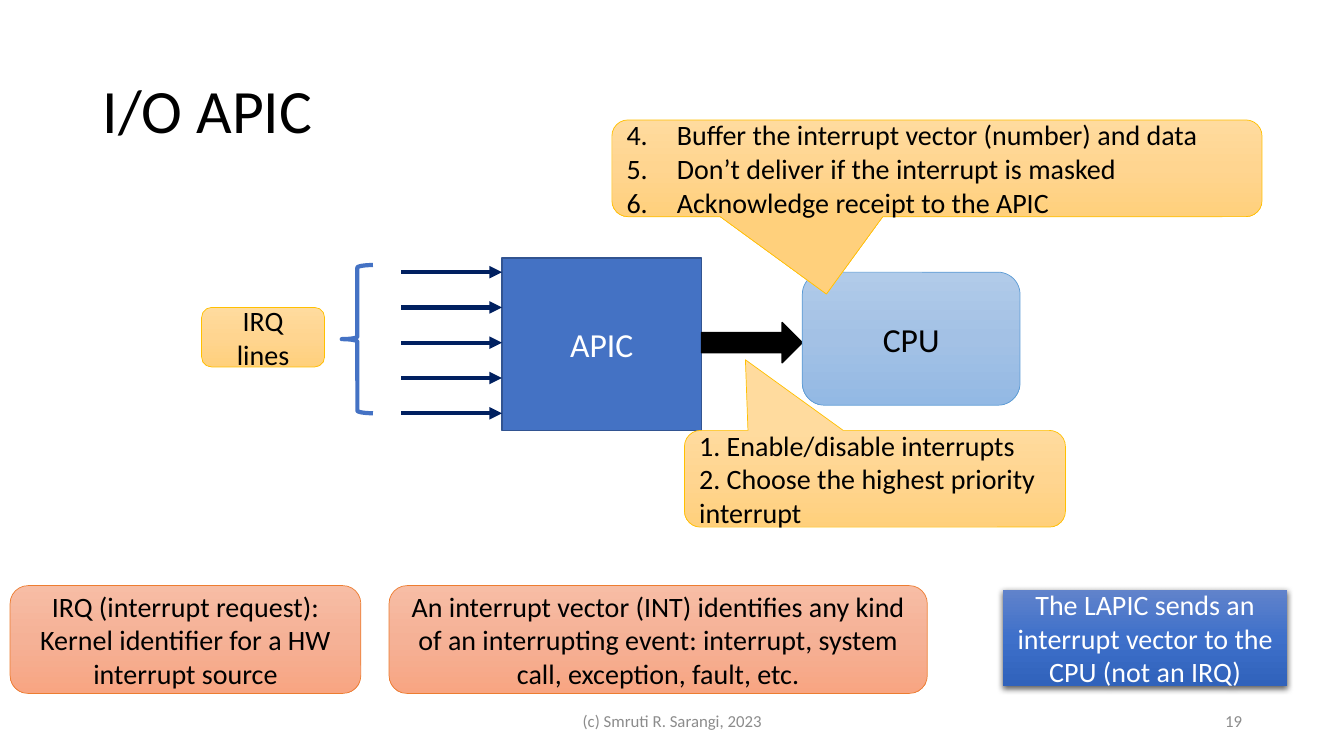
from lxml import etree
from pptx import Presentation
from pptx import util as u
from pptx.dml.color import RGBColor
from pptx.enum import shapes, text
from pptx.oxml import ns

# Grid: 133.33 columns by 75 rows of square cells
CELL = 0.1
COLS, ROWS = 133.33, 75
FACE = "Calibri"
HUES = {
    "black": "000000", "white": "FFFFFF", "gray": "8C8C8C",
    "navy": "002060", "blue": "4472C4", "edge": "325491",
    "gold": "FFC000", "sky": "5B9BD5", "rust": "ED7D31",
}
FADES = {
    "gold": ("FFDB9E", "FFD590", "FFD07C"),
    "sky": ("B1CBE9", "A3C1E5", "93B9E4"),
    "rust": ("F7BDA5", "F5B196", "F8A582"),
    "blue": ("6183CB", "3E70CA", "3062BB"),
}
KIND = shapes.MSO_SHAPE
ALIGN = text.PP_ALIGN


def grid(*cells):
    return [u.Inches(n * CELL) for n in cells]


def hue(name):
    return RGBColor.from_string(HUES[name])


def node(parent, tag, **attrs):
    return etree.SubElement(parent, ns.qn("a:" + tag), **attrs)


# Text
def write(frame, lines, size, color, align, start=None):
    frame.word_wrap = True
    frame.vertical_anchor = text.MSO_ANCHOR.MIDDLE
    for i, line in enumerate(lines):
        para = frame.paragraphs[0] if i == 0 else frame.add_paragraph()
        para.alignment = align
        if start:
            props = para._p.get_or_add_pPr()
            props.set("marL", str(u.Inches(0.5)))
            props.set("indent", str(-u.Inches(0.5)))
            node(props, "buFont", typeface="+mj-lt")
            node(props, "buAutoNum", type="arabicPeriod", startAt=str(start))
        run = para.add_run()
        run.text = line
        run.font.name = FACE
        run.font.size = u.Pt(size)
        run.font.color.rgb = hue(color)


def label(slide, at, line, size, color, align):
    frame = slide.shapes.add_textbox(*grid(*at)).text_frame
    write(frame, [line], size, color, align)
    return frame


# Shapes
def shade(shape, name):
    shape.fill.gradient()
    shape.fill.gradient_angle = 270
    stops = shape._element.spPr.find(".//" + ns.qn("a:gsLst"))
    for old in list(stops):
        stops.remove(old)
    for pos, color in zip((0, 50000, 100000), FADES[name]):
        node(node(stops, "gs", pos=str(pos)), "srgbClr", val=color)


def block(slide, kind, at, fill=None, fade=None, line=None, width=0.5):
    shape = slide.shapes.add_shape(kind, *grid(*at))
    shape.shadow.inherit = False
    if fade:
        shade(shape, fade)
    elif fill:
        shape.fill.solid()
        shape.fill.fore_color.rgb = hue(fill)
    else:
        shape.fill.background()
    if line:
        shape.line.color.rgb = hue(line)
        shape.line.width = u.Pt(width)
    else:
        shape.line.fill.background()
    return shape


def card(slide, kind, at, fade, line, words, size=20, color="black"):
    shape = block(slide, kind, at, fade=fade, line=line)
    write(shape.text_frame, [words], size, color, ALIGN.CENTER)
    return shape


def callout(slide, at, tip, lines, start=None):
    shape = block(slide, KIND.ROUNDED_RECTANGULAR_CALLOUT, at,
                  fade="gold", line="gold")
    shape.adjustments[0], shape.adjustments[1] = tip
    write(shape.text_frame, lines, 20, "black", ALIGN.LEFT, start)


def drop(shape):
    effects = shape._element.spPr.find(ns.qn("a:effectLst"))
    outer = node(effects, "outerShdw", blurRad=str(u.Pt(4.5)),
                 dist=str(u.Pt(1.5)), dir="5400000", algn="ctr",
                 rotWithShape="0")
    node(node(outer, "srgbClr", val=HUES["black"]), "alpha", val="63000")


def arrow(slide, left, right, row):
    wire = slide.shapes.add_connector(
        shapes.MSO_CONNECTOR.STRAIGHT, *grid(left, row, right, row))
    wire.line.color.rgb = hue("navy")
    wire.line.width = u.Pt(3)
    node(wire.line._get_or_add_ln(), "tailEnd", type="triangle")
    node(wire._element.spPr, "effectLst")


def main():
    deck = Presentation()
    deck.slide_width, deck.slide_height = grid(COLS, ROWS)
    slide = deck.slides.add_slide(deck.slide_layouts[6])

    # Title and footer
    title = label(slide, (9.2, 4, 115, 14.5), "I/O APIC", 44, "black",
                  ALIGN.LEFT)
    title.paragraphs[0].line_spacing = 0.9
    label(slide, (44.2, 69.5, 45, 4), "(c) Smruti R. Sarangi, 2023", 12,
          "gray", ALIGN.CENTER)
    label(slide, (94.2, 69.5, 30, 4), "19", 12, "gray", ALIGN.RIGHT)

    # APIC with its interrupt lines
    apic = block(slide, KIND.RECTANGLE, (49.8, 25.6, 19.8, 17.1),
                 fill="blue", line="edge", width=1)
    write(apic.text_frame, ["APIC"], 24, "white", ALIGN.CENTER)
    for i in range(5):
        arrow(slide, 39.8, 49.8, 27 + 3.5 * i)
    block(slide, KIND.LEFT_BRACE, (33.9, 26.3, 3.1, 14.7), line="blue",
          width=3)
    card(slide, KIND.ROUNDED_RECTANGLE, (20, 30.5, 12.2, 5.9), "gold", "gold",
         "IRQ lines")

    # CPU and the callouts
    block(slide, KIND.RIGHT_ARROW, (69.6, 32, 10, 4), fill="black",
          line="black", width=1)
    callout(slide, (67.9, 42.7, 37.8, 9.6), (-0.34, -1.23),
            ["1. Enable/disable interrupts",
             "2. Choose the highest priority interrupt"])
    card(slide, KIND.ROUNDED_RECTANGLE, (79.6, 27, 21.6, 13.2), "sky", "sky",
         "CPU", 24)
    callout(slide, (60.7, 11.9, 64.5, 9.6), (-0.17, 1.3),
            ["Buffer the interrupt vector (number) and data",
             "Don’t deliver if the interrupt is masked",
             "Acknowledge receipt to the APIC"], start=4)

    # Notes along the bottom
    card(slide, KIND.ROUNDED_RECTANGLE, (1, 58.1, 34.8, 10.7), "rust", "rust",
         "IRQ (interrupt request): Kernel identifier for a HW interrupt source")
    card(slide, KIND.ROUNDED_RECTANGLE, (38.6, 58.1, 53.4, 10.7), "rust",
         "rust", "An interrupt vector (INT) identifies any kind of an "
         "interrupting event: interrupt, system call, exception, fault, etc.")
    drop(card(slide, KIND.RECTANGLE, (99.5, 58.5, 28.2, 9.6), "blue", None,
              "The LAPIC sends an interrupt vector to the CPU (not an IRQ)",
              color="white"))

    deck.save("out.pptx")


if __name__ == "__main__":
    main()
